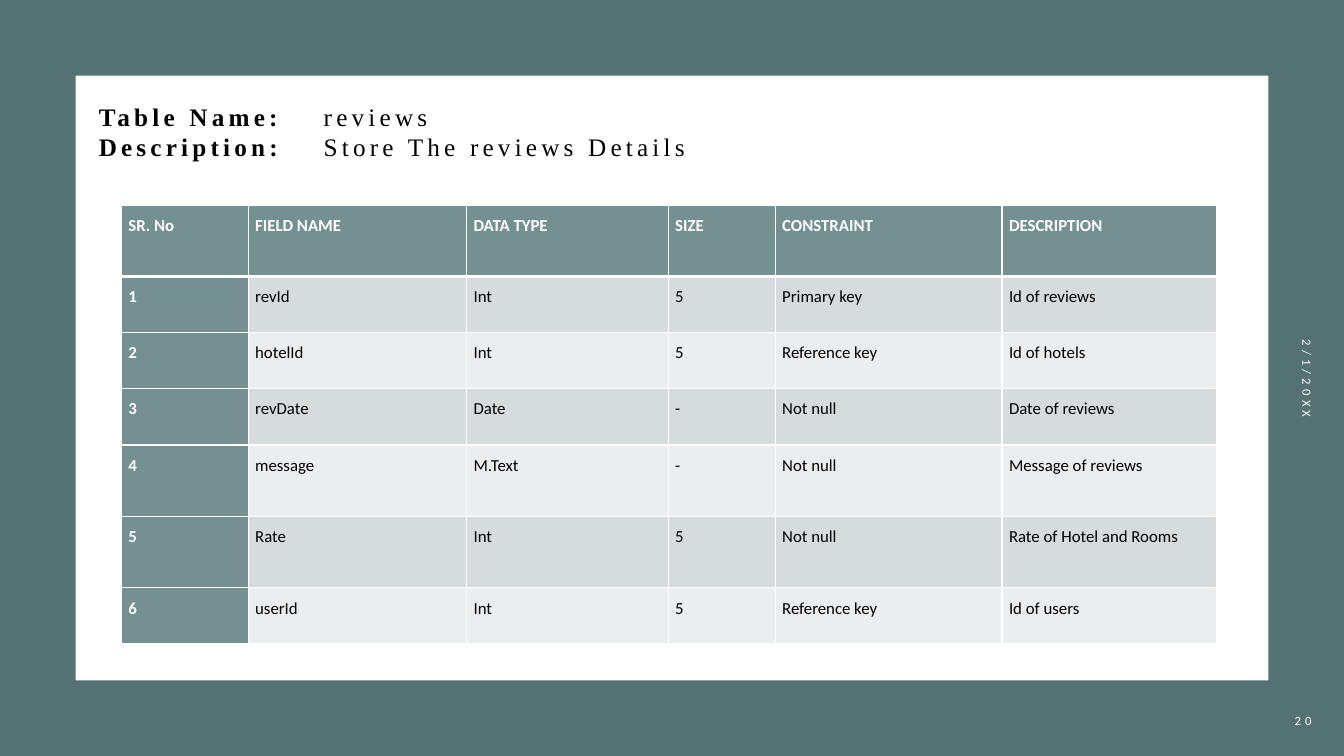
"""Build the data dictionary slide for the reviews table."""
from lxml.etree import fromstring
from pptx import Presentation
from pptx.dml.color import RGBColor
from pptx.enum.shapes import MSO_SHAPE
from pptx.enum.text import MSO_ANCHOR, MSO_AUTO_SIZE, PP_ALIGN
from pptx.oxml.ns import nsdecls
from pptx.util import Pt

COLORS = {"frame": "557272", "header": "749090", "odd": "D6DBDB", "even": "EBEEEE",
          "white": "FFFFFF", "black": "000000"}
HEADINGS = [("Table Name:", "reviews"), ("Description:", "Store The reviews Details")]
FIELDS = [
    ("SR. No", "FIELD NAME", "DATA TYPE", "SIZE", "CONSTRAINT", "DESCRIPTION"),
    ("1", "revId", "Int", "5", "Primary key", "Id of reviews"),
    ("2", "hotelId", "Int", "5", "Reference key", "Id of hotels"),
    ("3", "revDate", "Date", "-", "Not null", "Date of reviews"),
    ("4", "message", "M.Text", "-", "Not null", "Message of reviews"),
    ("5", "Rate", "Int", "5", "Not null", "Rate of Hotel and Rooms"),
    ("6", "userId", "Int", "5", "Reference key", "Id of users"),
]
COLUMN_WIDTHS = [90.5, 156, 144, 76.5, 162, 153]
ROW_HEIGHTS = [51, 40, 40, 40.5, 51, 51, 40]
FOOTERS = [
    ("2/1/20XX", (771.84, 254.16, 324, 32.4), 90, PP_ALIGN.CENTER),
    ("20", (875.5, 500.4, 68.4, 28.8), 0, PP_ALIGN.RIGHT),
]


def color(name):
    return RGBColor.from_string(COLORS[name])


def set_font(font, face, size, ink, bold=None):
    font.name, font.size, font.bold = face, Pt(size), bold
    font.color.rgb = color(ink)


def space_letters(run):
    run._r.get_or_add_rPr().set("spc", "300")


def add_frame(slide):
    frame = slide.shapes.add_shape(MSO_SHAPE.FRAME, 0, 0, Pt(960), Pt(540))
    frame.adjustments[0] = 0.1
    frame.shadow.inherit = False
    frame.fill.solid()
    frame.fill.fore_color.rgb = color("frame")
    frame.line.fill.background()


def add_footer(slide, words, place, angle, alignment):
    footer = slide.shapes.add_textbox(*map(Pt, place))
    footer.rotation = angle
    footer.text_frame.word_wrap = True
    footer.text_frame.vertical_anchor = MSO_ANCHOR.MIDDLE
    line = footer.text_frame.paragraphs[0]
    line.alignment = alignment
    space_letters(line.add_run())
    line.runs[0].text = words
    set_font(line.font, "Calibri", 9, "white")


def fill_title(title):
    title.left, title.top, title.width, title.height = map(Pt, (63.36, 68.4, 441, 51))
    frame = title.text_frame
    frame.word_wrap, frame.auto_size = True, MSO_AUTO_SIZE.NONE
    frame.vertical_anchor = MSO_ANCHOR.MIDDLE
    for index, (label, value) in enumerate(HEADINGS):
        line = frame.add_paragraph() if index else frame.paragraphs[0]
        line.alignment = PP_ALIGN.LEFT
        line.space_before = Pt(0)
        line._p.get_or_add_pPr().append(fromstring(
            f'<a:tabLst {nsdecls("a")}><a:tab pos="{Pt(160.7)}" algn="l"/></a:tabLst>'))
        set_font(line.font, "Times New Roman", 18, "black")
        for words, bold in ((label + "\t", True), (value, False)):
            run = line.add_run()
            run.text = words
            run.font.bold = bold
            space_letters(run)


def add_borders(cell, row):
    widths = {"L": 1, "R": 1, "T": 3 if row == 1 else 1, "B": 3 if row == 0 else 1}
    for index, (side, width) in enumerate(widths.items()):
        cell._tc.get_or_add_tcPr().insert(index, fromstring(
            f'<a:ln{side} {nsdecls("a")} w="{Pt(width)}"><a:solidFill>'
            f'<a:srgbClr val="{COLORS["white"]}"/></a:solidFill></a:ln{side}>'))


def add_fields(slide):
    fields = slide.shapes.add_table(
        len(FIELDS), len(COLUMN_WIDTHS), Pt(86.8), Pt(146.4),
        Pt(sum(COLUMN_WIDTHS)), Pt(sum(ROW_HEIGHTS))).table
    for column, width in zip(fields.columns, COLUMN_WIDTHS):
        column.width = Pt(width)
    for row, height in zip(fields.rows, ROW_HEIGHTS):
        row.height = Pt(height)
    for row, record in enumerate(FIELDS):
        for column, words in enumerate(record):
            cell = fields.cell(row, column)
            heading = row == 0 or column == 0
            cell.margin_left = cell.margin_right = Pt(5)
            cell.margin_top = cell.margin_bottom = 0
            cell.fill.solid()
            cell.fill.fore_color.rgb = color(
                "header" if heading else "odd" if row % 2 else "even")
            add_borders(cell, row)
            cell.text = words
            line = cell.text_frame.paragraphs[0]
            line.line_spacing, line.space_after = 1.5, Pt(10)
            set_font(line.font, "Calibri", 12, "white" if heading else "black", heading)


def main():
    deck = Presentation()
    deck.slide_width, deck.slide_height = Pt(960), Pt(540)
    slide = deck.slides.add_slide(deck.slide_layouts[5])
    add_frame(slide)
    for footer in FOOTERS:
        add_footer(slide, *footer)
    add_fields(slide)
    fill_title(slide.shapes.title)
    deck.save("out.pptx")


if __name__ == "__main__":
    main()
